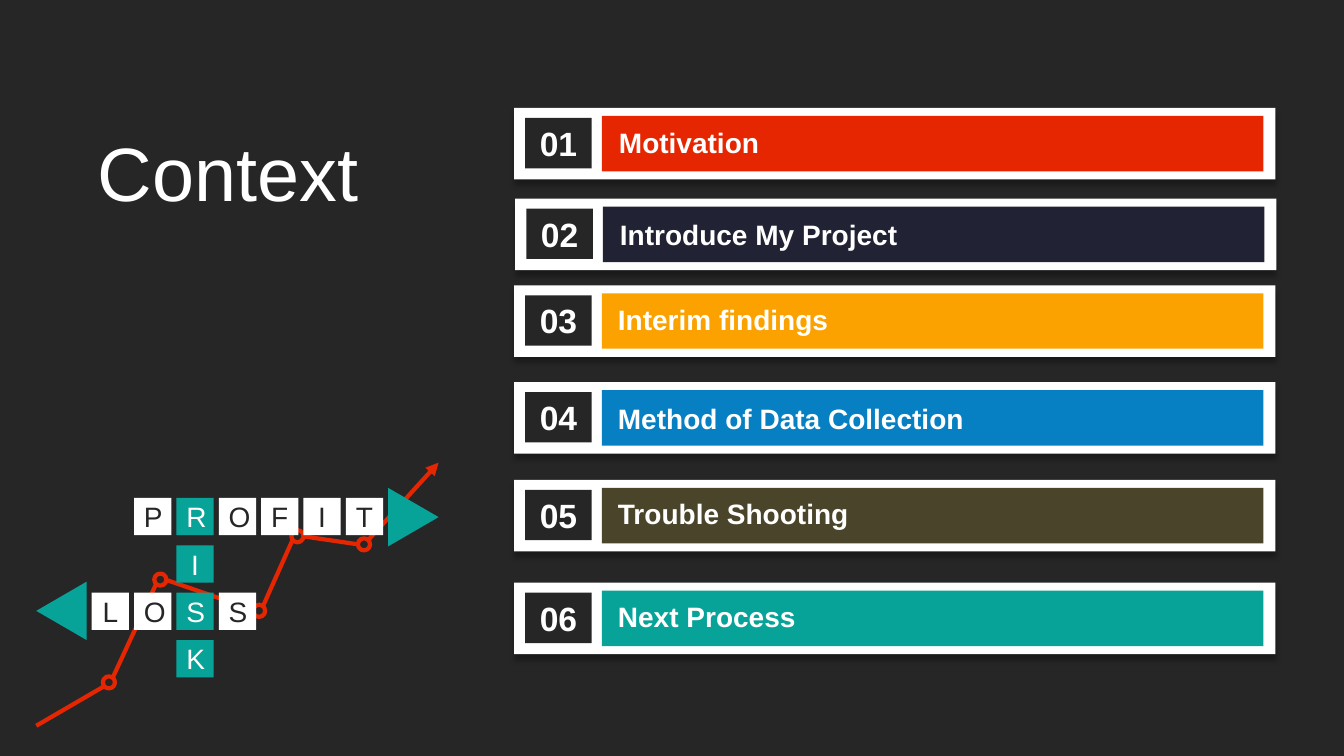
from dataclasses import dataclass
from typing import NamedTuple

from lxml.etree import SubElement
from pptx import Presentation
from pptx.dml.color import RGBColor
from pptx.enum.shapes import MSO_CONNECTOR, MSO_SHAPE
from pptx.enum.text import MSO_ANCHOR, PP_ALIGN
from pptx.oxml.ns import qn
from pptx.shapes.autoshape import Shape
from pptx.shapes.connector import Connector
from pptx.shapes.shapetree import GroupShapes
from pptx.util import Inches, Pt

RECT, OVAL = MSO_SHAPE.RECTANGLE, MSO_SHAPE.OVAL
WEDGE = MSO_SHAPE.ISOSCELES_TRIANGLE
STRAIGHT = MSO_CONNECTOR.STRAIGHT
MIDDLE, TOP = MSO_ANCHOR.MIDDLE, MSO_ANCHOR.TOP
LEFT, CENTER = PP_ALIGN.LEFT, PP_ALIGN.CENTER


@dataclass(frozen=True)
class Theme:
    font: str = "Arial"
    dark: str = "262626"
    white: str = "FFFFFF"
    red: str = "E62601"
    navy: str = "212334"
    amber: str = "FBA200"
    blue: str = "0680C3"
    olive: str = "4A452A"
    teal: str = "07A398"
    title: int = 54
    number: int = 24
    body: int = 20
    stroke: int = 3


class Box(NamedTuple):
    left: float
    top: float
    width: float
    height: float


class Link(NamedTuple):
    x1: float
    y1: float
    x2: float
    y2: float
    arrow: bool = False


class Topic(NamedTuple):
    text: str
    color: str
    left: float
    top: float
    inset: float  # label offset from the left of the panel
    drop: float   # label offset from the top of the panel


THEME = Theme()

TOPICS = (
    Topic("Motivation", THEME.red, 5.1, 1.07, 0.94, 0.13),
    Topic("Introduce My Project", THEME.navy, 5.11, 1.97, 0.94, 0.14),
    Topic("Interim findings", THEME.amber, 5.1, 2.83, 0.93, 0.12),
    Topic("Method of Data Collection", THEME.blue, 5.1, 3.79, 0.93, 0.14),
    Topic("Trouble Shooting", THEME.olive, 5.1, 4.76, 0.93, 0.12),
    Topic("Next Process", THEME.teal, 5.1, 5.78, 0.93, 0.12),
)

# Trend line: ring corners and the links between them
RING = 0.12
RINGS = ((3.55, 5.34), (1.53, 5.69), (2.89, 5.26), (1.02, 6.71), (2.51, 6))
LINKS = (
    Link(1.55, 5.79, 1.12, 6.72),
    Link(2.51, 6.05, 1.64, 5.75),
    Link(2.9, 5.36, 2.61, 6.01),
    Link(3, 5.32, 3.55, 5.4),
    Link(3.65, 5.36, 4.35, 4.59, arrow=True),
    Link(1.03, 6.81, 0.36, 7.2),
)

# Crossword: one string per row, with RISK running down one column
LETTERS = (" PROFIT", "  I", "LOSS", "  K")
RISK_COL = 2
GRID_X, GRID_Y = 0.91, 4.94
STEP_X, STEP_Y = 0.42, 0.47
TILE = 0.37
WEDGES = ((Box(3.81, 4.88, 0.58, 0.5), 90), (Box(0.32, 5.81, 0.58, 0.5), 270))


def place(box: Box) -> tuple[int, ...]:
    return tuple(Inches(v) for v in box)


def write(shape: Shape, text: str, size: int, color: str,
          align: PP_ALIGN = CENTER, anchor: MSO_ANCHOR = MIDDLE,
          bold: bool = False) -> None:
    frame = shape.text_frame
    frame.word_wrap = True
    frame.vertical_anchor = anchor
    para = frame.paragraphs[0]
    para.text = text
    para.alignment = align
    font = para.font
    font.name, font.size, font.bold = THEME.font, Pt(size), bold
    font.color.rgb = RGBColor.from_string(color)


def draw(shapes: GroupShapes, kind: MSO_SHAPE, box: Box, fill: str) -> Shape:
    shape = shapes.add_shape(kind, *place(box))
    shape.shadow.inherit = False
    shape.fill.solid()
    shape.fill.fore_color.rgb = RGBColor.from_string(fill)
    shape.line.fill.background()
    return shape


def stroke(shape: Shape | Connector) -> None:
    shape.line.color.rgb = RGBColor.from_string(THEME.red)
    shape.line.width = Pt(THEME.stroke)


def cast(shape: Shape) -> None:
    effects = shape.element.spPr.find(qn("a:effectLst"))
    shade = SubElement(effects, qn("a:outerShdw"), blurRad=str(Pt(4)),
                       dist=str(Pt(4)), dir=str(90 * 60000),
                       algn="t", rotWithShape="0")
    color = SubElement(shade, qn("a:srgbClr"), val="000000")
    SubElement(color, qn("a:alpha"), val="30000")


def trend(shapes: GroupShapes) -> None:
    for x, y in RINGS:
        ring = draw(shapes, OVAL, Box(x, y, RING, RING), THEME.dark)
        ring.fill.background()
        stroke(ring)
    for link in LINKS:
        line = shapes.add_connector(STRAIGHT, *(Inches(v) for v in link[:4]))
        stroke(line)
        if link.arrow:
            SubElement(line.line._get_or_add_ln(), qn("a:tailEnd"),
                       type="triangle")
        SubElement(line.element.spPr, qn("a:effectLst"))


def puzzle(shapes: GroupShapes) -> None:
    for row, word in enumerate(LETTERS):
        for col, letter in enumerate(word):
            if letter == " ":
                continue
            risk = col == RISK_COL
            box = Box(GRID_X + col * STEP_X, GRID_Y + row * STEP_Y, TILE, TILE)
            tile = draw(shapes, RECT, box, THEME.teal if risk else THEME.white)
            write(tile, letter, THEME.body, THEME.white if risk else THEME.dark)
    for box, angle in WEDGES:
        draw(shapes, WEDGE, box, THEME.teal).rotation = angle


def panel(shapes: GroupShapes, index: int, topic: Topic) -> None:
    x, y = topic.left, topic.top
    cast(draw(shapes, RECT, Box(x, y, 7.55, 0.71), THEME.white))
    draw(shapes, RECT, Box(x + 0.87, y + 0.08, 6.56, 0.55), topic.color)
    draw(shapes, RECT, Box(x + 0.1, y + 0.08, 0.67, 0.55), THEME.white)
    badge = draw(shapes, RECT, Box(x + 0.11, y + 0.1, 0.66, 0.5), THEME.dark)
    write(badge, f"{index:02}", THEME.number, THEME.white, bold=True)
    box = Box(x + topic.inset, y + topic.drop, 6.28, 0.44)
    label = shapes.add_textbox(*place(box))
    write(label, topic.text, THEME.body, THEME.white, LEFT, TOP, bold=True)


def main() -> None:
    deck = Presentation()
    deck.slide_width, deck.slide_height = Inches(13.33), Inches(7.5)
    slide = deck.slides.add_slide(deck.slide_layouts[5])
    slide.background.fill.solid()
    slide.background.fill.fore_color.rgb = RGBColor.from_string(THEME.dark)

    # Title
    title = slide.shapes.title
    title.left, title.top, title.width, title.height = place(
        Box(0.87, 1.19, 2.97, 1.01))
    write(title, "Context", THEME.title, THEME.white, LEFT)

    # Trend line behind the crossword
    trend(slide.shapes.add_group_shape().shapes)
    puzzle(slide.shapes.add_group_shape().shapes)

    # Agenda panels
    for index, topic in enumerate(TOPICS, 1):
        panel(slide.shapes.add_group_shape().shapes, index, topic)

    deck.save("out.pptx")


if __name__ == "__main__":
    main()
